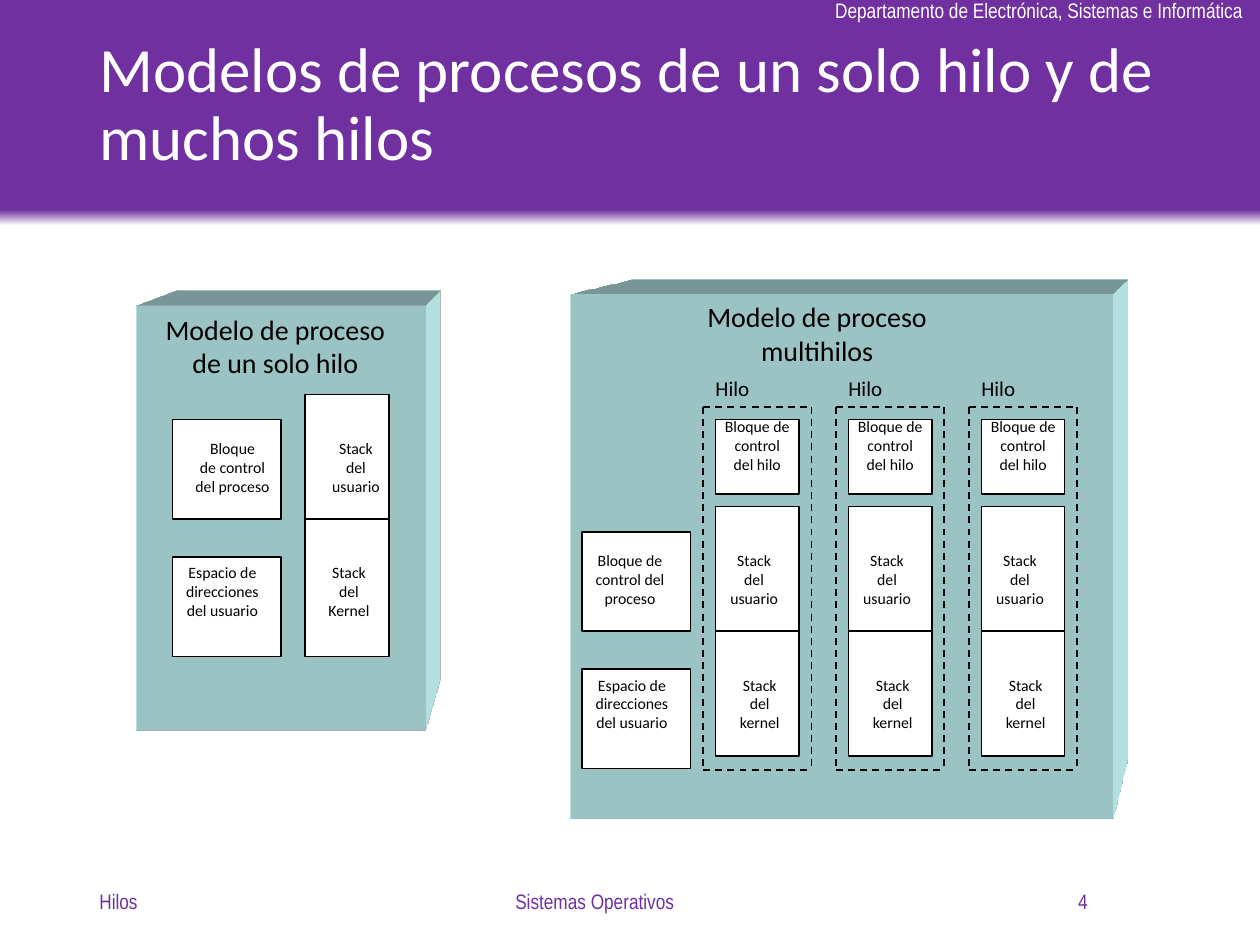
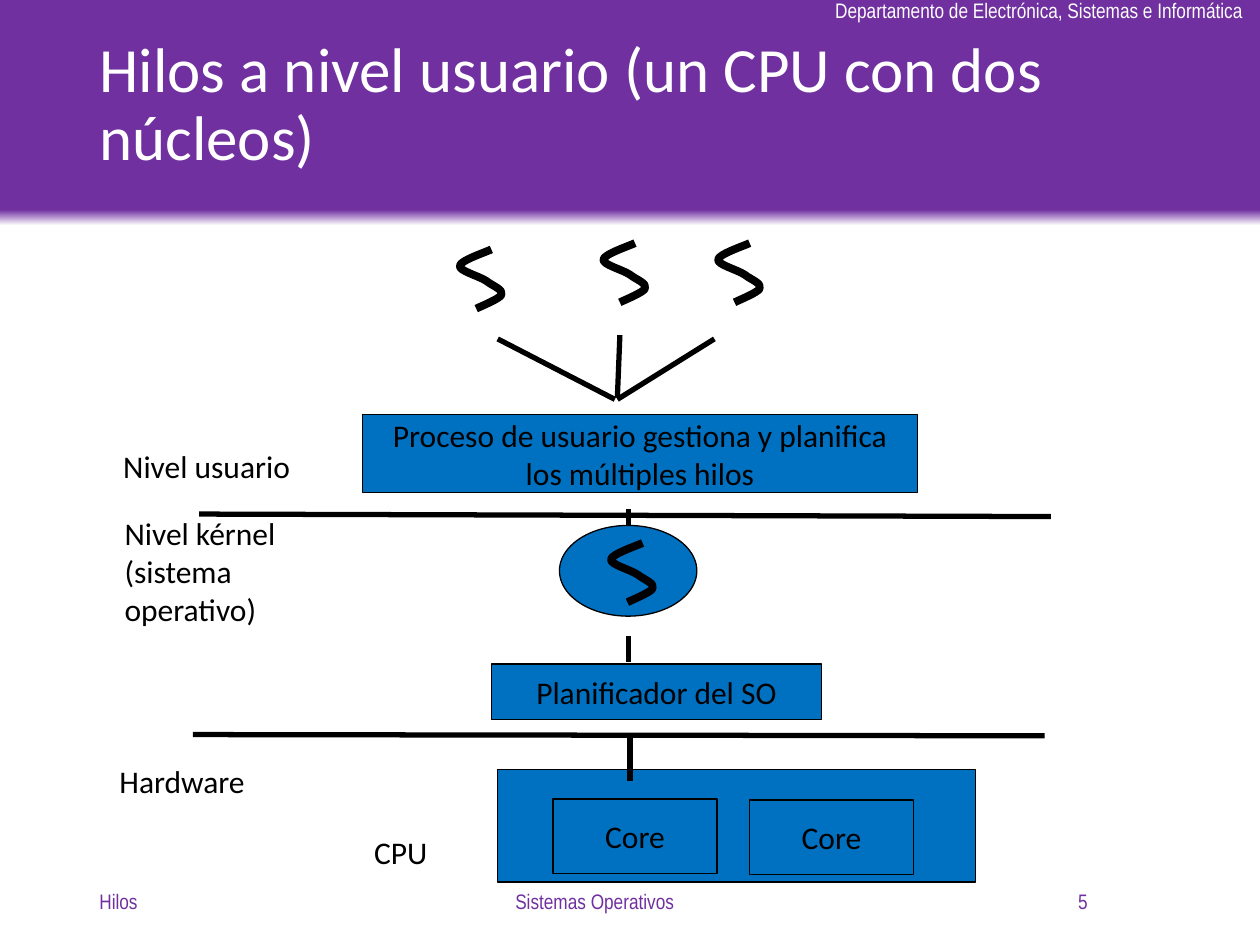
from lxml import etree
from pptx import Presentation
from pptx import util as u
from pptx.dml.color import RGBColor
from pptx.enum import dml, shapes, text
from pptx.oxml.ns import qn

# Shared look
PURPLE, WHITE, BLACK, BLUE, AQUA = (
    "7030A0", "FFFFFF", "000000", "0070C0", "CCFFFF")
BODY, NARROW = "Calibri", "Arial Narrow"
DEPT = "Departamento de Electrónica, Sistemas e Informática"
LEFT, MID, RIGHT = (text.PP_ALIGN.LEFT, text.PP_ALIGN.CENTER,
                    text.PP_ALIGN.RIGHT)
CENTER = text.MSO_ANCHOR.MIDDLE
GROW = text.MSO_AUTO_SIZE.SHAPE_TO_FIT_TEXT
FEET = [("Hilos", 0.69, 2.25, LEFT),
        ("Sistemas Operativos", 3.03, 3.38, MID),
        (None, 6.48, 2.25, RIGHT)]  # None takes the slide number

# Slide 1
BLOCKS = [(1.08, 2.43, 2.29, 3.37), (4.53, 2.34, 4.3, 4.16)]
DEPTH = 0.97
HEADS = [("Modelo de proceso\nde un solo hilo", 1.14, 2.43),
         ("Modelo de proceso\nmultihilos", 5.44, 2.33)]
CELLS = [(2.42, 3.13, 0.67, 2.08), (1.37, 3.33, 0.86, 0.79),
         (1.37, 4.42, 0.86, 0.79), (4.62, 4.22, 0.86, 0.79),
         (4.62, 5.31, 0.86, 0.79)]
SPACE = "Espacio de\ndirecciones\ndel usuario"
USER = "Stack\ndel\nusuario"
NOTES = [("Bloque\nde control\ndel proceso", 1.42, 3.43, 0.85),
         (USER, 2.52, 3.43, 0.61),
         ("Stack\ndel\nKernel", 2.49, 4.42, 0.56),
         (SPACE, 1.35, 4.42, 0.83), (SPACE, 4.6, 5.31, 0.83),
         ("Bloque de\ncontrol del\nproceso", 4.61, 4.32, 0.78)]
# Parts of one thread: places are offsets from its left edge
THREADS, FIRST, STEP = 3, 5.58, 1.055
PARTS = [(0.1, 4.02, 0.66, 1.98), (0.1, 3.33, 0.66, 0.59)]
LABELS = [("Bloque de\ncontrol\ndel hilo", 0.05, 3.26, 0.76),
          (USER, 0.1, 4.32, 0.61),
          ("Stack\ndel\nkernel", 0.18, 5.31, 0.54)]
FRAME = (0.86, 3.23, 6.11)  # width, top, bottom

# Slide 2
BOXES = [("", 3.95, 6.11, 3.79, 0.89, True),
         ("Proceso de usuario gestiona y planifica los múltiples hilos",
          2.88, 3.29, 4.4, 0.62, True),
         ("Core", 4.39, 6.34, 1.3, 0.59, False),
         ("Core", 5.95, 6.35, 1.3, 0.59, False),
         ("Planificador del SO", 3.9, 5.27, 2.62, 0.44, False)]
LINES = [(1.58, 4.08, 8.34, 4.1), (1.53, 5.83, 8.29, 5.84),
         (4.99, 4.17, 4.99, 4.04), (4.88, 3.17, 3.95, 2.69),
         (4.9, 3.15, 4.92, 2.66), (4.9, 3.17, 5.67, 2.69),
         (5, 6.2, 5, 5.82), (4.99, 5.25, 4.99, 5.05)]
LEVELS = [("Nivel usuario", 0.88, 3.5, 1.84, 0.41, True),
          ("Nivel kérnel (sistema operativo)", 0.89, 4.03, 1.98, 1.01, True),
          ("Hardware", 0.85, 6, 1.2, 0.41, False),
          ("CPU", 2.87, 6.56, 0.62, 0.41, False)]
WAVES = [(3.64, 1.98), (4.78, 1.93), (5.69, 1.93), (4.84, 4.31)]
# One wave: a start point, then two controls and an end for each curve
CURVE = [(0.26, 0),
         (0.22, 0.02), (0.01, 0.09), (0.01, 0.13),
         (0, 0.17), (0.16, 0.21), (0.22, 0.25),
         (0.27, 0.29), (0.36, 0.32), (0.34, 0.36),
         (0.33, 0.39), (0.18, 0.45), (0.14, 0.47)]


def color(code):
    return RGBColor.from_string(code)


def paint(shape, fill=None, line=None, wide=1):
    shape.shadow.inherit = False
    if fill:
        shape.fill.solid()
        shape.fill.fore_color.rgb = color(fill)
    else:
        shape.fill.background()
    if line:
        shape.line.color.rgb = color(line)
        shape.line.width = u.Pt(wide)
    else:
        shape.line.fill.background()
    return shape


def write(shape, words, size, ink=BLACK, font=BODY, align=LEFT, space=None,
          **form):
    frame = shape.text_frame
    for name, value in form.items():
        setattr(frame, name, value)
    for i, row in enumerate(words.split("\n")):
        para = frame.paragraphs[0] if i == 0 else frame.add_paragraph()
        para.alignment = align
        if space:
            para.line_spacing = space
        run = para.add_run()
        run.text = row
        look = {"size": u.Pt(size), "name": font}
        for name, value in look.items():
            setattr(run.font, name, value)
        run.font.color.rgb = color(ink)


def label(page, words, x, y, w, h, size, wrap=False, **form):
    box = page.shapes.add_textbox(*map(u.Inches, (x, y, w, h)))
    write(box, words, size, word_wrap=wrap, **form)
    return box


def block(page, x, y, w, h, *look, kind=shapes.MSO_SHAPE.RECTANGLE):
    part = page.shapes.add_shape(kind, *map(u.Inches, (x, y, w, h)))
    return paint(part, *look)


def rule(page, x1, y1, x2, y2, wide=1, dash=False):
    line = page.shapes.add_connector(
        shapes.MSO_CONNECTOR.STRAIGHT, *map(u.Inches, (x1, y1, x2, y2)))
    line.line.color.rgb = color(BLACK)
    line.line.width = u.Pt(wide)
    if dash:
        line.line.dash_style = dml.MSO_LINE.DASH
    etree.SubElement(line._element.spPr, qn("a:effectLst"))


def extrude(shape, deep, code):
    def add(node, tag, **values):
        return etree.SubElement(node, qn(tag), values)
    props = shape._element.spPr
    scene = add(props, "a:scene3d")
    add(scene, "a:camera", prst="legacyPerspectiveTopRight")
    add(scene, "a:lightRig", rig="legacyFlat3", dir="b")
    solid = add(props, "a:sp3d", extrusionH=str(u.Inches(deep)),
                prstMaterial="legacyMatte")
    for bevel in ("a:bevelT", "a:bevelB"):
        add(solid, bevel, w="13500", h="13500", prst="angle")
    add(add(solid, "a:extrusionClr"), "a:srgbClr", val=code)


def share(deck, page):
    # Band fading to white at its lower edge, and the department name
    band = block(page, 0, 0, 10, 1.79)
    band.fill.gradient()
    band.fill.gradient_angle = 90
    for stop, (code, place) in zip(band.fill.gradient_stops,
                                   [(WHITE, 0), (PURPLE, 0.07)]):
        stop.color.rgb = color(code)
        stop.position = place
    dept = label(page, DEPT, 6.53, -0.07, 3.48, 0.3, 12, ink=WHITE,
                 font=NARROW, auto_size=GROW)
    # Both belong to the master
    for part in (band, dept):
        deck.slide_master.shapes._spTree.append(part._element)


def start(deck, title, number):
    page = deck.slides.add_slide(deck.slide_layouts[6])
    if len(deck.slides) == 1:
        share(deck, page)
    label(page, title, 0.69, 0.15, 8.62, 1.39, 36, True, ink=WHITE,
          space=0.9, vertical_anchor=CENTER)
    for words, x, w, align in FEET:
        label(page, words or str(number), x, 6.95, w, 0.4, 12, True,
              ink=PURPLE, font=NARROW, align=align, vertical_anchor=CENTER)
    return page


def thread(page, x):
    for dx, y, w, h in PARTS:
        block(page, x + dx, y, w, h, WHITE, BLACK)
    rule(page, x + 0.1, 5.01, x + 0.76, 5.01)
    w, top, base = FRAME
    for y in (top, base):
        rule(page, x, y, x + w, y, dash=True)
    for edge in (x, x + w):
        rule(page, edge, top, edge, base, dash=True)
    for words, dx, y, wide in LABELS:
        label(page, words, x + dx, y, wide, 0.55, 9, align=MID,
              auto_size=GROW)
    label(page, "Hilo", x, 2.93, 0.49, 0.3, 12, auto_size=GROW)


def wave(page, x, y):
    spots = [(u.Inches(x + dx), u.Inches(y + dy)) for dx, dy in CURVE]
    form = page.shapes.build_freeform(*spots[0])
    form.add_line_segments(spots[1:], close=False)
    shape = paint(form.convert_to_shape(), None, BLACK, 4.5)
    # Join each three straight steps into one Bezier curve
    steps = list(shape._element.iter(qn("a:lnTo")))
    for k in range(0, len(steps), 3):
        bend = etree.Element(qn("a:cubicBezTo"))
        steps[k].addprevious(bend)
        for step in steps[k:k + 3]:
            bend.append(step[0])
            step.getparent().remove(step)


deck = Presentation()
deck.slide_width, deck.slide_height = u.Inches(10), u.Inches(7.5)

# Process models
page = start(deck, "Modelos de procesos de un solo hilo y de muchos hilos", 4)
for spot in BLOCKS:
    extrude(block(page, *spot, AQUA), DEPTH, AQUA)
for cell in CELLS:
    block(page, *cell, WHITE, BLACK)
rule(page, 2.42, 4.12, 3.09, 4.12)
for words, x, y, w in NOTES:
    label(page, words, x, y, w, 0.55, 9, align=MID, auto_size=GROW)
for words, x, y in HEADS:
    label(page, words, x, y, 2.09, 0.64, 16, align=MID, auto_size=GROW)
for i in range(THREADS):
    thread(page, FIRST + i * STEP)

# User-level threads
page = start(deck, "Hilos a nivel usuario (un CPU con dos núcleos)", 5)
block(page, 4.44, 4.17, 1.09, 0.72, BLUE, BLACK, 0.75,
      kind=shapes.MSO_SHAPE.OVAL)
for words, x, y, w, h, wrap in BOXES:
    box = block(page, x, y, w, h, BLUE, BLACK, 0.75)
    if words:
        write(box, words, 18, align=MID, word_wrap=wrap,
              vertical_anchor=CENTER)
for ends in LINES:
    rule(page, *ends, wide=3)
for spot in WAVES:
    wave(page, *spot)
for words, x, y, w, h, wrap in LEVELS:
    label(page, words, x, y, w, h, 18, wrap, auto_size=GROW)

deck.save("out.pptx")
